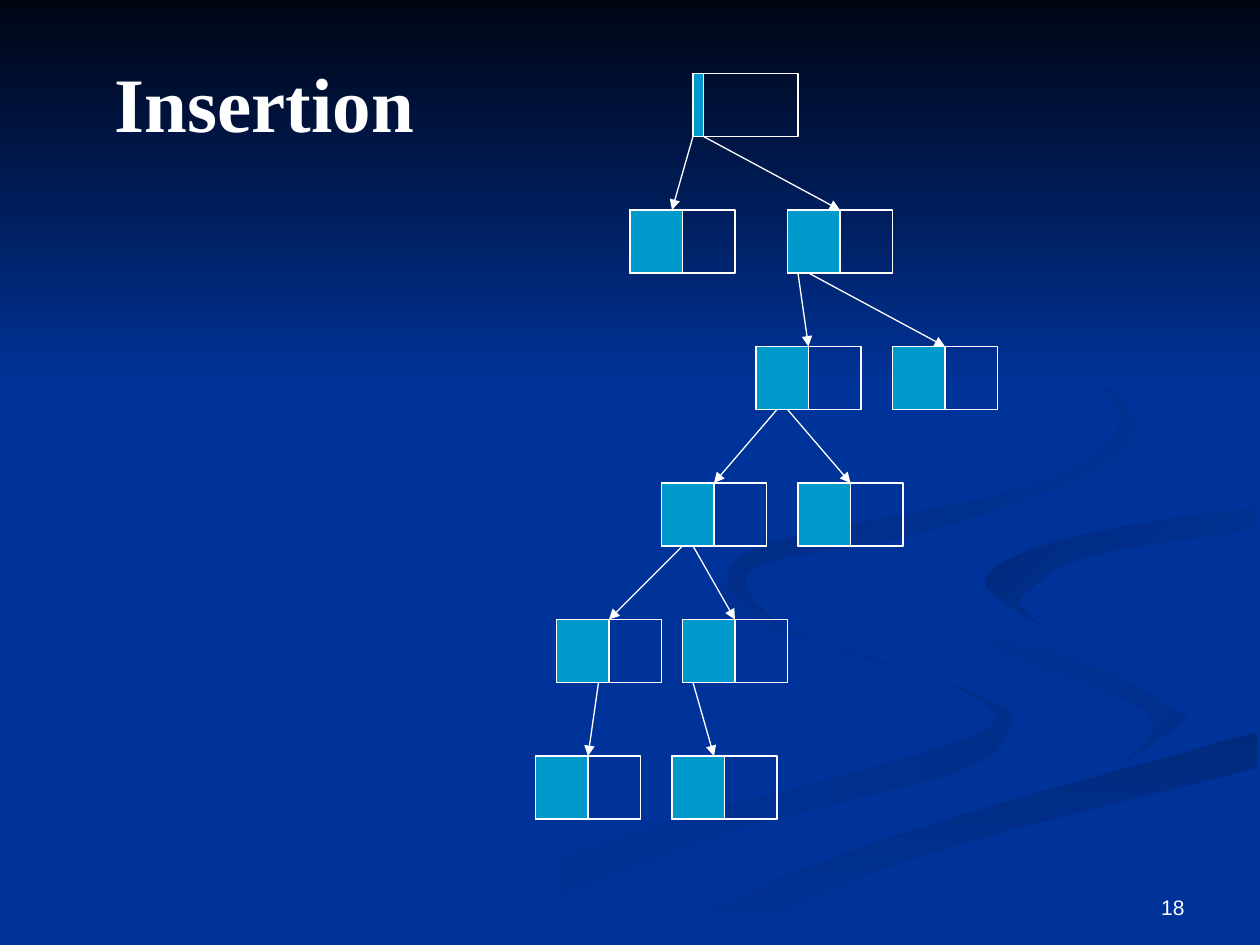
from pptx import Presentation
from pptx import util as u
from pptx.dml.color import RGBColor as Rgb
from pptx.enum import shapes as sh, text as tx
from pptx.oxml.ns import qn
from lxml import etree

TITLE, PAGE = "Insertion", "18"
ROWS = [(66,), (60, 75), (72, 85), (63, 76), (53, 65), (51, 64)]
LINKS = [(66, 64), (67, 80), (76, 77), (77, 90), (74, 68),
         (75, 81), (65, 58), (66, 70), (57, 56), (66, 68)]
WIDE, HIGH, TOP, STEP = 10, 6, 7, 13

THEME = {"back": "003399", "ink": "FFFFFF", "full": "0099CC", "night": "000514",
         "shade": "002E8B", "deep": "002A7D", "line": 0.75,
         "serif": "Times New Roman", "sans": "Arial", "head": 44, "foot": 12}

RIBBONS = [
    ("shade", "back", 180,
     [(575, 459), (571, 474), (602, 495), (714, 530), (783, 559), (774, 583),
      (652, 620), (458, 674), (300, 749)],
     [(361, 749), (564, 665), (756, 614), (800, 581), (781, 553), (642, 507),
      (574, 464)]),
    ("shade", "back", 225,
     [(724, 464), (755, 505), (854, 539), (915, 571), (894, 605)],
     [(943, 570), (870, 530), (745, 490)]),
    ("deep", "back", 90,
     [(998, 581), (764, 647), (630, 693), (503, 749)],
     [(571, 749), (722, 682), (998, 609)]),
    ("back", "deep", 225,
     [(998, 402), (849, 427), (782, 460), (826, 496)],
     [(806, 478), (859, 443), (998, 420)]),
    ("back", "deep", 225,
     [(762, 233), (880, 307), (889, 362), (739, 421), (596, 452), (622, 500)],
     [(578, 468), (605, 433), (818, 386), (889, 335), (846, 279)]),
]


def inch(n):
    return u.Cm(2.54 * n)


def grid(n):
    return inch(n / 12)


def ink(key):
    return Rgb.from_string(THEME[key])


def stroke(line):
    line.color.rgb = ink("ink")
    line.width = u.Pt(THEME["line"])


def curve(pts, parts=6):
    ends = [pts[0], *pts, pts[-1]]
    out = [pts[0]]
    for a, b, c, d in zip(ends, ends[1:], ends[2:], ends[3:]):
        for k in range(1, parts + 1):
            t = k / parts
            out.append(tuple(
                q + t * ((r - p) + t * ((2 * p - 5 * q + 4 * r - s)
                                        + t * (3 * q - p - 3 * r + s))) / 2
                for p, q, r, s in zip(a, b, c, d)))
    return out


def shade(shape, start, end, angle):
    shape.shadow.inherit = False
    shape.line.fill.background()
    shape.fill.gradient()
    shape.fill.gradient_angle = 360 - angle
    for stop, tone in zip(shape.fill.gradient_stops, (start, end)):
        stop.color.rgb = ink(tone)


def ribbon(slide, start, end, angle, near, far):
    pts = curve(near) + curve(far)
    form = slide.shapes.build_freeform(*pts[0], scale=inch(0.01))
    form.add_line_segments(pts[1:], close=True)
    shade(form.convert_to_shape(), start, end, angle)


def rect(slide, *at):
    shape = slide.shapes.add_shape(sh.MSO_SHAPE.RECTANGLE, *at)
    shape.shadow.inherit = False
    return shape


def box(slide, x, y, wide, full):
    shape = rect(slide, grid(x), grid(y), grid(wide), grid(HIGH))
    if full:
        shape.fill.solid()
        shape.fill.fore_color.rgb = ink("full")
    else:
        shape.fill.background()
    stroke(shape.line)
    return shape


def arrow(slide, row, x, tip, nodes):
    y = TOP + STEP * row
    link = slide.shapes.add_connector(sh.MSO_CONNECTOR.STRAIGHT, grid(x),
                                      grid(y + HIGH), grid(tip), grid(y + STEP))
    node = nodes.get((row + 1, tip))
    if node is not None:
        link.end_connect(node, 0)
    stroke(link.line)
    etree.SubElement(link.line._get_or_add_ln(), qn("a:tailEnd"), type="triangle")
    etree.SubElement(link._element.spPr, qn("a:effectLst"))


def label(shape, words, at, face, size, bold, side, anchor, wrap):
    shape.left, shape.top, shape.width, shape.height = map(inch, at)
    frame = shape.text_frame
    frame.text = words
    frame.word_wrap = wrap
    frame.vertical_anchor = anchor
    para = frame.paragraphs[0]
    para.alignment = side
    font = para.runs[0].font
    font.name, font.size, font.bold = THEME[face], u.Pt(THEME[size]), bold
    font.color.rgb = ink("ink")


def main():
    deck = Presentation()
    deck.slide_width, deck.slide_height = inch(10), inch(7.5)
    slide = deck.slides.add_slide(deck.slide_layouts[5])
    slide.background.fill.solid()
    slide.background.fill.fore_color.rgb = ink("back")
    for band in RIBBONS:
        ribbon(slide, *band)
    sky = rect(slide, 0, 0, deck.slide_width, inch(3.08))
    shade(sky, "night", "back", 90)

    nodes = {}
    for row, cells in enumerate(ROWS):
        y = TOP + STEP * row
        for x in cells:
            nodes[row, x + WIDE // 2] = box(slide, x, y, WIDE, False)
            box(slide, x, y, WIDE // 2 if row else 1, True)
    for i, (x, tip) in enumerate(LINKS):
        arrow(slide, i // 2, x, tip, nodes)

    page = slide.shapes.add_textbox(0, 0, 0, 0)
    label(page, PAGE, (7.17, 6.83, 2.33, 0.52), "sans", "foot", False,
          tx.PP_ALIGN.RIGHT, tx.MSO_ANCHOR.BOTTOM, True)
    title = slide.shapes.title
    label(title, TITLE, (0.81, 0.39, 3.06, 0.84), "serif", "head", True,
          tx.PP_ALIGN.LEFT, tx.MSO_ANCHOR.TOP, False)
    title._element.getparent().append(title._element)
    deck.save("out.pptx")


if __name__ == "__main__":
    main()
